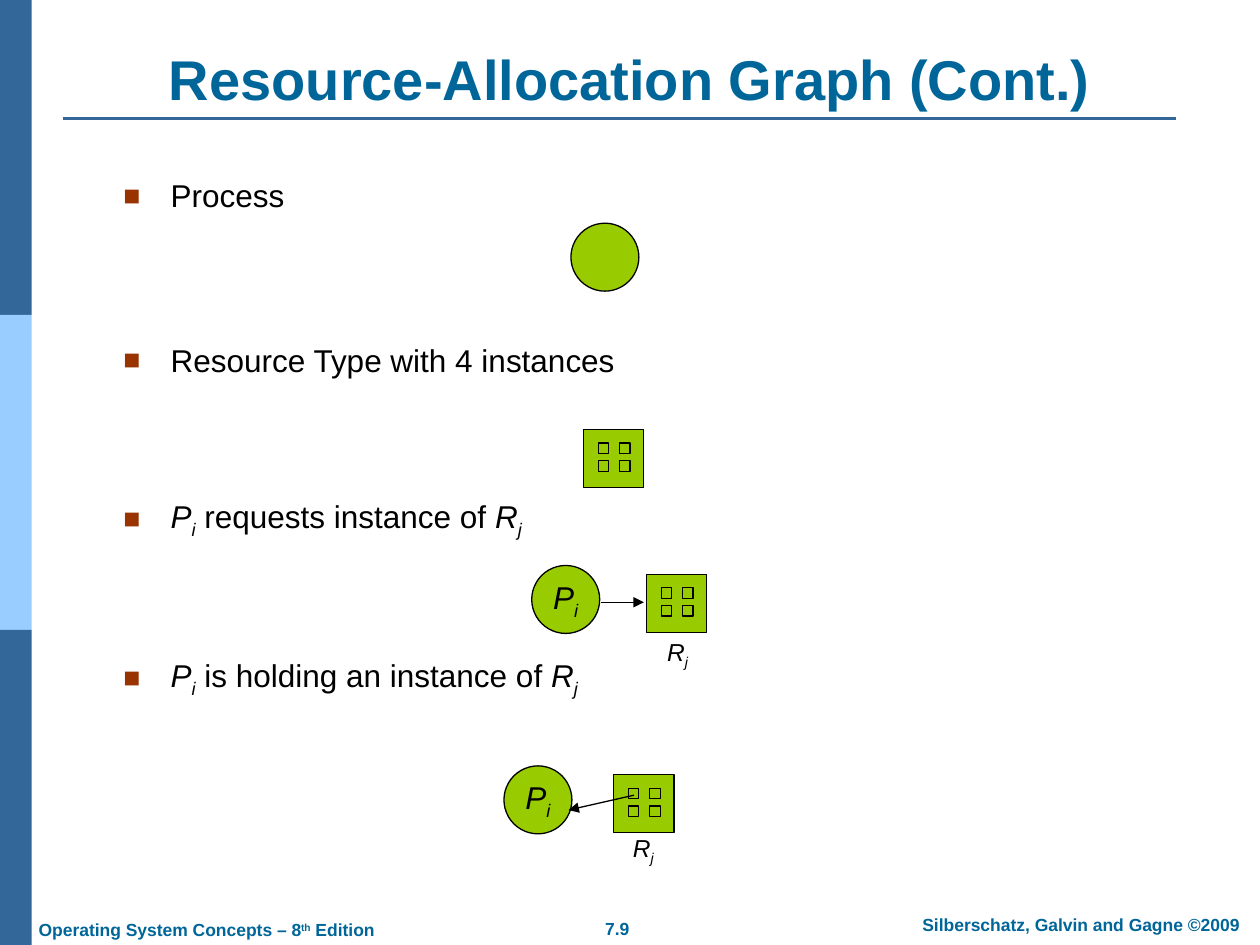
from dataclasses import dataclass
from itertools import product

from lxml.etree import SubElement
from pptx import Presentation
from pptx.dml.color import RGBColor
from pptx.enum.shapes import MSO_CONNECTOR, MSO_SHAPE
from pptx.enum.text import MSO_ANCHOR, PP_ALIGN
from pptx.oxml.ns import qn
from pptx.util import Cm, Pt


@dataclass(frozen=True)
class Theme:
    font: str = "Arial"
    heading: str = "006699"
    ink: str = "000000"
    dark_band: str = "336699"
    light_band: str = "99CCFF"
    bullet: str = "993300"
    node: str = "99CC00"
    title_size: int = 32
    body_size: int = 18
    label_size: int = 14
    footer_size: int = 10


@dataclass(frozen=True)
class Box:
    left: float
    top: float
    width: float
    height: float

    def inner(self, left, top, width, height):
        return Box(self.left + left, self.top + top, width, height)

    def lengths(self):
        return Cm(self.left), Cm(self.top), Cm(self.width), Cm(self.height)


THEME = Theme()
CIRCLE = 1.37
RESOURCE_WIDTH, RESOURCE_HEIGHT = 1.22, 1.17
PROCESS_NAME = [("P", "italic"), ("i", "subscript")]
RESOURCE_NAME = [("R", "italic"), ("j", "subscript")]


def color(value):
    return RGBColor.from_string(value)


def write(paragraph, runs, size, ink, bold=False, align=PP_ALIGN.LEFT):
    paragraph.alignment = align
    paragraph.font.name = THEME.font
    paragraph.font.size = Pt(size)
    paragraph.font.bold = bold
    paragraph.font.color.rgb = color(ink)
    for text, style in runs:
        run = paragraph.add_run()
        run.text = text
        if style in ("italic", "subscript"):
            run.font.italic = True
        baseline = {"subscript": "-25000", "superscript": "30000"}.get(style)
        if baseline:
            run._r.get_or_add_rPr().set("baseline", baseline)


def add_text(slide, box, runs, size, ink, bold=False, align=PP_ALIGN.CENTER,
             anchor=MSO_ANCHOR.TOP):
    frame = slide.shapes.add_textbox(*box.lengths()).text_frame
    frame.word_wrap = True
    frame.vertical_anchor = anchor
    write(frame.paragraphs[0], runs, size, ink, bold, align)


def add_box(shapes, kind, box, fill, outline=None):
    shape = shapes.add_shape(kind, *box.lengths())
    shape.shadow.inherit = False
    shape.fill.solid()
    shape.fill.fore_color.rgb = color(fill)
    if outline:
        shape.line.color.rgb = color(outline)
        shape.line.width = Pt(0.75)
    else:
        shape.line.fill.background()
    return shape


def add_line(slide, box, start, end, ink, width, arrow=False):
    points = [Cm(value) for x, y in (start, end) for value in (box.left + x, box.top + y)]
    connector = slide.shapes.add_connector(MSO_CONNECTOR.STRAIGHT, *points)
    connector.line.color.rgb = color(ink)
    connector.line.width = Pt(width)
    if arrow:
        SubElement(connector.line._get_or_add_ln(), qn("a:tailEnd"), type="triangle")
    SubElement(connector._element.spPr, qn("a:effectLst"))


def add_sidebar(slide, box):
    height = box.height / 3
    for index, fill in enumerate((THEME.dark_band, THEME.light_band, THEME.dark_band)):
        band = box.inner(0, index * height, box.width, height)
        add_box(slide.shapes, MSO_SHAPE.RECTANGLE, band, fill)


def add_title(slide, box):
    add_line(slide, box, (0, 1.63), (22.43, 1.63), THEME.dark_band, 1.5)
    add_text(slide, box, [("Resource-Allocation Graph (Cont.)", "plain")],
             THEME.title_size, THEME.heading, bold=True, anchor=MSO_ANCHOR.BOTTOM)


def add_footer(slide, box):
    edition = [("Operating System Concepts – 8", "plain"), ("th", "superscript"),
               (" Edition", "plain")]
    parts = (
        (box.inner(0.53, 0.1, 8.5, 0.64), edition, PP_ALIGN.LEFT),
        (box.inner(11.2, 0.07, 2.49, 0.64), [("7.9", "plain")], PP_ALIGN.CENTER),
        (box.inner(18.2, 0, 7.18, 0.64),
         [("Silberschatz, Galvin and Gagne ©2009", "plain")], PP_ALIGN.CENTER),
    )
    for place, runs, align in parts:
        add_text(slide, place, runs, THEME.footer_size, THEME.heading, bold=True, align=align)


def add_bullet(paragraph):
    properties = paragraph._p.get_or_add_pPr()
    properties.set("marL", str(Cm(0.95)))
    properties.set("indent", str(-Cm(0.95)))
    SubElement(SubElement(properties, qn("a:buClr")), qn("a:srgbClr"), val=THEME.bullet)
    SubElement(properties, qn("a:buSzPct"), val="90000")
    SubElement(properties, qn("a:buFont"), typeface=THEME.font)
    SubElement(properties, qn("a:buChar"), char="■")


def add_body(slide, box):
    items = (
        (0, [("Process", "plain")]),
        (72.4, [("Resource Type with 4 instances", "plain")]),
        (67.5, [*PROCESS_NAME, (" requests instance of ", "plain"), *RESOURCE_NAME]),
        (66.7, [*PROCESS_NAME, (" is holding an instance of ", "plain"), *RESOURCE_NAME]),
    )
    frame = slide.shapes.add_textbox(*box.lengths()).text_frame
    frame.word_wrap = True
    for index, (gap, runs) in enumerate(items):
        paragraph = frame.add_paragraph() if index else frame.paragraphs[0]
        if gap:
            paragraph.space_before = Pt(gap)
        add_bullet(paragraph)
        write(paragraph, runs, THEME.body_size, THEME.ink)


def add_process(slide, box, name=()):
    circle = add_box(slide.shapes, MSO_SHAPE.OVAL, box, THEME.node, THEME.ink)
    if name:
        frame = circle.text_frame
        frame.word_wrap = False
        frame.vertical_anchor = MSO_ANCHOR.MIDDLE
        write(frame.paragraphs[0], name, THEME.body_size, THEME.ink, align=PP_ALIGN.CENTER)


def add_resource(slide, box):
    group = slide.shapes.add_group_shape()
    add_box(group.shapes, MSO_SHAPE.RECTANGLE, box, THEME.node, THEME.ink)
    for row, column in product(range(2), repeat=2):
        instance = box.inner(0.3 + 0.43 * column, 0.27 + 0.36 * row, 0.21, 0.21)
        add_box(group.shapes, MSO_SHAPE.RECTANGLE, instance, THEME.node, THEME.ink)


def add_relation(slide, box, resource_left, arrow_start, arrow_end, label_left, label_top):
    add_process(slide, box.inner(0, 0, CIRCLE, CIRCLE), PROCESS_NAME)
    add_resource(slide, box.inner(resource_left, 0.18, RESOURCE_WIDTH, RESOURCE_HEIGHT))
    add_line(slide, box, arrow_start, arrow_end, THEME.ink, 0.75, arrow=True)
    add_text(slide, box.inner(label_left, label_top, 1.6, 0.94), RESOURCE_NAME,
             THEME.label_size, THEME.ink, anchor=MSO_ANCHOR.MIDDLE)


def main():
    presentation = Presentation()
    presentation.slide_width, presentation.slide_height = Cm(25.4), Cm(19.05)
    slide = presentation.slides.add_slide(presentation.slide_layouts[6])
    add_sidebar(slide, Box(0, 0, 0.64, 19.05))
    add_footer(slide, Box(0, 18.31, 25.4, 0.74))
    add_title(slide, Box(1.27, 0.76, 22.86, 1.62))
    add_body(slide, Box(2.24, 3.43, 22.86, 12.6))
    add_process(slide, Box(11.51, 4.5, CIRCLE, CIRCLE))
    add_resource(slide, Box(11.76, 8.66, RESOURCE_WIDTH, RESOURCE_HEIGHT))
    add_relation(slide, Box(10.72, 11.4, 3.74, 2.24),
                 2.31, (1.4, 0.74), (2.26, 0.74), 2.14, 1.3)
    add_relation(slide, Box(10.16, 15.44, 3.61, 2.16),
                 2.21, (2.62, 0.59), (1.3, 0.89), 2.01, 1.22)
    presentation.save("out.pptx")


if __name__ == "__main__":
    main()
